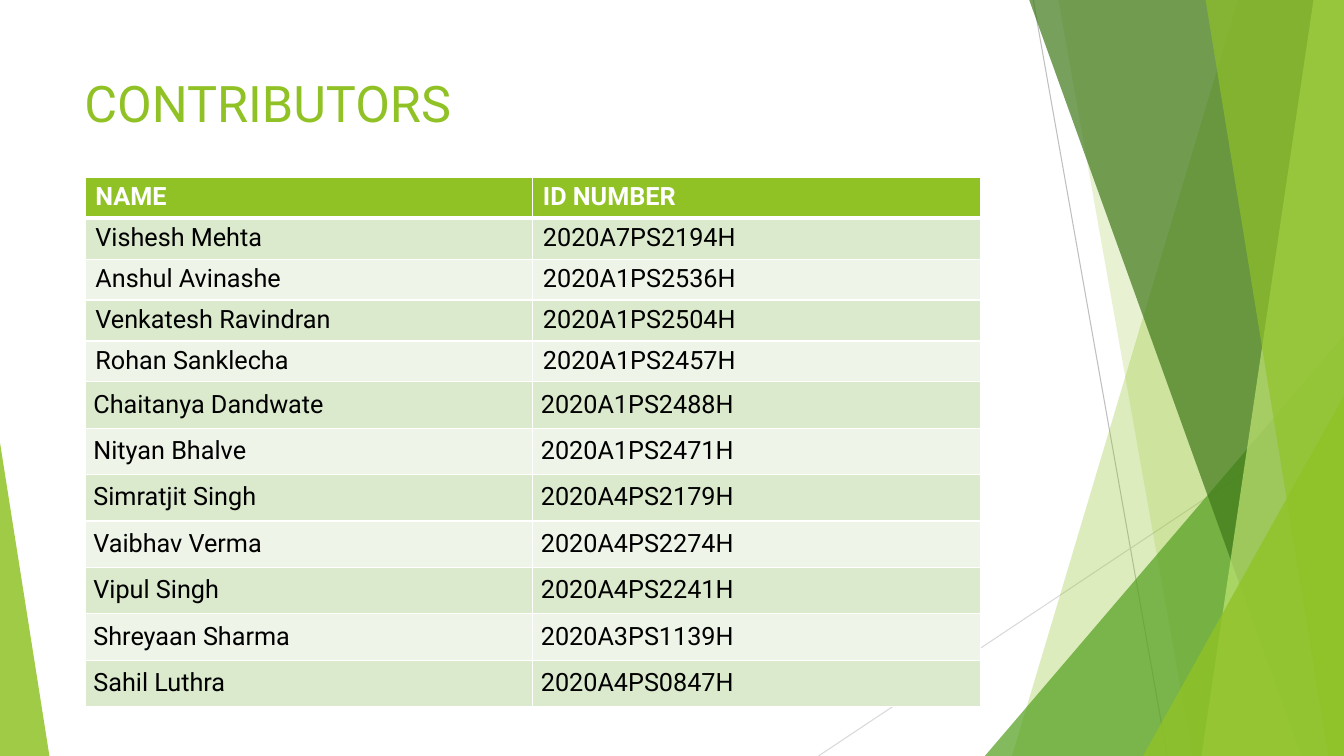
from lxml.etree import SubElement
from pptx import Presentation
from pptx.dml.color import RGBColor
from pptx.enum.shapes import MSO_CONNECTOR, MSO_SHAPE
from pptx.enum.text import MSO_ANCHOR
from pptx.oxml import parse_xml
from pptx.oxml.ns import nsdecls, qn
from pptx.util import Inches, Pt

LIME = RGBColor(0x90, 0xC2, 0x26)
GREEN = RGBColor(0x54, 0xA0, 0x21)
FOREST = RGBColor(0x3F, 0x78, 0x19)
PALE = RGBColor(0xC0, 0xE4, 0x74)
GREY = RGBColor(0xBF, 0xBF, 0xBF)
SILVER = RGBColor(0xD9, 0xD9, 0xD9)
BAND = RGBColor(0xDB, 0xE9, 0xCD)
MIST = RGBColor(0xEE, 0xF4, 0xE8)
WHITE = RGBColor(0xFF, 0xFF, 0xFF)
BLACK = RGBColor(0, 0, 0)
FONT = "Roboto"

deck = Presentation()
deck.slide_width, deck.slide_height = Inches(13.33), Inches(7.5)
slide = deck.slides.add_slide(deck.slide_layouts[6])
shapes = slide.shapes


def wide(share):
    return round(deck.slide_width * share / 100)


def high(share):
    return round(deck.slide_height * share / 100)


for left, top, right, base, tint in [
    (76.88, 0, 86.85, 100, GREY),
    (100, 53.73, 60.9, 100, SILVER),
]:
    line = shapes.add_connector(
        MSO_CONNECTOR.STRAIGHT, wide(left), high(top), wide(right), high(base))
    line.line.color.rgb = tint
    line.line.width = Pt(0.75)
    SubElement(line._element.spPr, qn("a:effectLst"))

facets = [
    ("wedge", (92.1, 75.3), LIME, 30),
    ("wedge", (78.75, 88.73), LIME, 20),
    ("peak", (73.28, 100, 44.4, 1), GREEN, 72),
    ("wedge", (76.58, 96.83), FOREST, 70),
    ("wedge", (97.73, 89.4), PALE, 70),
    ("wedge", (89.7, 98.85), LIME, 65),
    ("peak", (85.05, 100, 52.4, 1), LIME, 80),
    ("peak", (0, 3.68, 58.53, 0), LIME, 85),
]
for kind, place, tint, alpha in facets:
    if kind == "wedge":
        head, foot = place
        pen = shapes.build_freeform(wide(head), 0)
        pen.add_line_segments([
            (wide(100), 0), (wide(100), high(100)), (wide(foot), high(100))])
        facet = pen.convert_to_shape()
    else:
        left, right, top, lean = place
        facet = shapes.add_shape(
            MSO_SHAPE.ISOSCELES_TRIANGLE, wide(left), high(top),
            wide(right - left), high(100 - top))
        facet.adjustments[0] = lean
    facet.shadow.inherit = False
    facet.line.fill.background()
    facet.fill.solid()
    facet.fill.fore_color.rgb = tint
    color = facet._element.spPr.find(qn("a:solidFill"))[0]
    SubElement(color, qn("a:alpha"), val=str(alpha * 1000))

title = shapes.add_textbox(wide(5.55), high(8.93), wide(70.5), high(19.2))
title.text_frame.word_wrap = True
title.text_frame.vertical_anchor = MSO_ANCHOR.TOP
title.text_frame.text = "CONTRIBUTORS"
font = title.text_frame.paragraphs[0].runs[0].font
font.name, font.size, font.color.rgb = FONT, Pt(36), LIME

people = [
    ("NAME", "ID NUMBER"),
    ("Vishesh Mehta", "2020A7PS2194H"),
    ("Anshul Avinashe", "2020A1PS2536H"),
    ("Venkatesh Ravindran", "2020A1PS2504H"),
    ("Rohan Sanklecha", "2020A1PS2457H"),
    ("Chaitanya Dandwate", "2020A1PS2488H"),
    ("Nityan Bhalve", "2020A1PS2471H"),
    ("Simratjit Singh", "2020A4PS2179H"),
    ("Vaibhav Verma", "2020A4PS2274H"),
    ("Vipul Singh", "2020A4PS2241H"),
    ("Shreyaan Sharma", "2020A3PS1139H"),
    ("Sahil Luthra", "2020A4PS0847H"),
]
SHORT, TALL, SPLIT = 5.41, 6.13, 5
table = shapes.add_table(
    len(people), 2, wide(6.35), high(23.47), wide(66.6),
    high(SPLIT * SHORT + (len(people) - SPLIT) * TALL)).table
for col in table.columns:
    col.width = wide(33.3)

for row, person in enumerate(people):
    table.rows[row].height = high(SHORT if row < SPLIT else TALL)
    for col, text in enumerate(person):
        cell = table.cell(row, col)
        cell.text_frame.text = text
        if row >= SPLIT:
            cell.margin_left = cell.margin_right = Inches(0.08)
            cell.margin_top = cell.margin_bottom = Inches(0.08)
        cell.fill.solid()
        cell.fill.fore_color.rgb = LIME if row == 0 else BAND if row % 2 else MIST
        font = cell.text_frame.paragraphs[0].runs[0].font
        font.name, font.size, font.bold = FONT, Pt(18), row == 0
        font.color.rgb = BLACK if row else WHITE
        for spot, side in enumerate("LRTB"):
            thick = (row, side) in [(0, "B"), (1, "T")]
            edge = parse_xml(
                f'<a:ln{side} {nsdecls("a")} w="{Pt(3 if thick else 1)}">'
                f'<a:solidFill><a:srgbClr val="{WHITE}"/></a:solidFill></a:ln{side}>')
            cell._tc.tcPr.insert(spot, edge)

deck.save("out.pptx")
